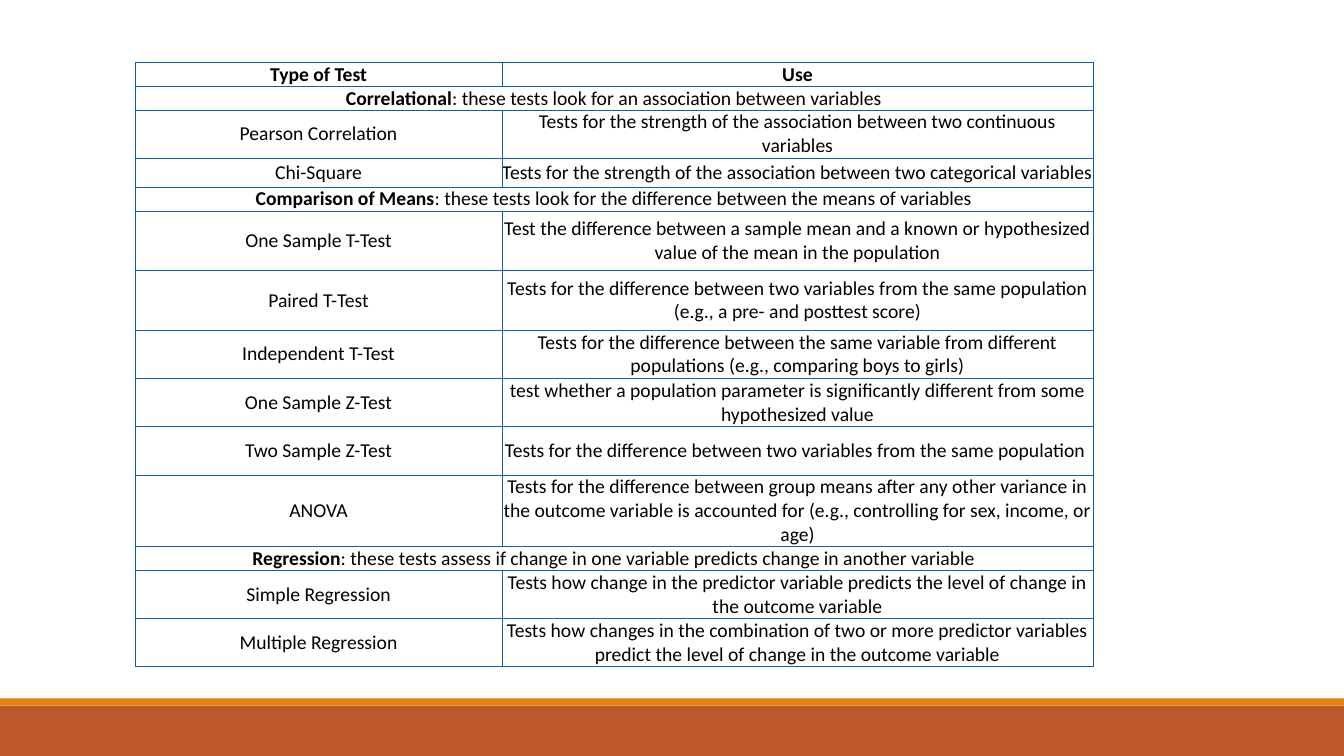
from lxml import etree
from pptx import Presentation
from pptx.dml.color import RGBColor
from pptx.enum.shapes import MSO_SHAPE
from pptx.enum.text import MSO_ANCHOR, PP_ALIGN
from pptx.oxml.ns import qn
from pptx.util import Inches, Pt

RECTANGLE = MSO_SHAPE.RECTANGLE
MIDDLE, CENTER = MSO_ANCHOR.MIDDLE, PP_ALIGN.CENTER
BLACK = RGBColor(0x00, 0x00, 0x00)
BLUE = RGBColor(0x0E, 0x5E, 0xB8)
ORANGE = RGBColor(0xE4, 0x83, 0x12)
RUST = RGBColor(0xBD, 0x58, 0x2C)

SLIDE_WIDTH, SLIDE_HEIGHT = 13.33, 7.5
TABLE_LEFT, TABLE_TOP = 1.34, 0.62
COLUMN_WIDTHS = (3.64, 5.86)
BORDER_WIDTH = Pt(0.6)
FONT = {"name": "Calibri", "size": Pt(14)}
CELL_FORMAT = {"margin_left": 0, "margin_right": 0, "margin_top": 0,
               "margin_bottom": 0, "vertical_anchor": MIDDLE}

# Footer bands: top, height, colour
BANDS = [(7.0, 0.5, RUST), (6.93, 0.07, ORANGE)]

# Kind of row, height, two texts: a section's texts share one merged cell
ROWS = [
    ("header", 0.16, "Type of Test", "Use"),
    ("section", 0.19, "Correlational",
     ": these tests look for an association between variables"),
    ("test", 0.29, "Pearson Correlation",
     "Tests for the strength of the association between two continuous variables"),
    ("test", 0.29, "Chi-Square",
     "Tests for the strength of the association between two categorical variables"),
    ("section", 0.19, "Comparison of Means",
     ": these tests look for the difference between the means of variables"),
    ("test", 0.59, "One Sample T-Test",
     "Test the difference between a\u00a0sample\u00a0mean and a known or "
     "hypothesized value of the mean in the population"),
    ("test", 0.59, "Paired T-Test",
     "Tests for the difference between two variables from the same population "
     "(e.g., a pre- and posttest score)"),
    ("test", 0.48, "Independent T-Test",
     "Tests for the difference between the same variable from different "
     "populations (e.g., comparing boys to girls)"),
    ("test", 0.48, "One Sample Z-Test",
     "test\u00a0whether a population parameter is significantly different from "
     "some hypothesized value"),
    ("test", 0.48, "Two Sample Z-Test",
     "Tests for the difference between two variables from the same population "),
    ("test", 0.67, "ANOVA",
     "Tests for the difference between group means after any other variance in "
     "the outcome variable is accounted for (e.g., controlling for sex, income, "
     "or age)"),
    ("section", 0.19, "Regression",
     ": these tests assess if change in one variable predicts change in another "
     "variable"),
    ("test", 0.38, "Simple Regression",
     "Tests how change in the predictor variable predicts the level of change in "
     "the outcome variable"),
    ("test", 0.48, "Multiple Regression",
     "Tests how changes in the combination of two or more predictor variables "
     "predict the level of change in the outcome variable"),
]


def set_format(target, values):
    """Set each named attribute of the target."""
    for name, value in values.items():
        setattr(target, name, value)


def add_band(slide, top, height, colour):
    """Add a plain band across the full slide width."""
    band = slide.shapes.add_shape(RECTANGLE, 0, Inches(top),
                                  Inches(SLIDE_WIDTH), Inches(height))
    band.shadow.inherit = False
    band.fill.solid()
    band.fill.fore_color.rgb = colour
    band.line.fill.background()


def add_borders(cell):
    """Draw a thin blue line on all four sides of a cell."""
    properties = cell._tc.get_or_add_tcPr()
    for side in ("a:lnL", "a:lnR", "a:lnT", "a:lnB"):
        line = etree.SubElement(properties, qn(side), w=str(int(BORDER_WIDTH)))
        fill = etree.SubElement(line, qn("a:solidFill"))
        etree.SubElement(fill, qn("a:srgbClr"), val=str(BLUE))


def write_cell(cell, spans):
    """Write (text, bold) spans as one centred paragraph."""
    para = cell.text_frame.paragraphs[0]
    para.alignment = CENTER
    for text, bold in spans:
        span = para.add_run()
        span.text = text
        set_format(span.font, {**FONT, "bold": bold})
        span.font.color.rgb = BLACK


def add_test_table(slide):
    """Add the table of statistical tests and their uses."""
    table = slide.shapes.add_table(
        len(ROWS), len(COLUMN_WIDTHS), Inches(TABLE_LEFT), Inches(TABLE_TOP),
        Inches(sum(COLUMN_WIDTHS)), Inches(sum(row[1] for row in ROWS))).table
    set_format(table, {"first_row": False, "horz_banding": False})
    for column, width in zip(table.columns, COLUMN_WIDTHS):
        column.width = Inches(width)
    for row, (kind, height, first, second) in zip(table.rows, ROWS):
        row.height = Inches(height)
        left, right = row.cells
        for cell in (left, right):
            set_format(cell, CELL_FORMAT)
            add_borders(cell)
            cell.fill.background()
        if kind == "section":
            left.merge(right)
            write_cell(left, [(first, True), (second, False)])
        else:
            write_cell(left, [(first, kind == "header")])
            write_cell(right, [(second, kind == "header")])


deck = Presentation()
set_format(deck, {"slide_width": Inches(SLIDE_WIDTH),
                  "slide_height": Inches(SLIDE_HEIGHT)})
page = deck.slides.add_slide(deck.slide_layouts[6])
for band_values in BANDS:
    add_band(page, *band_values)
add_test_table(page)
deck.save("out.pptx")
